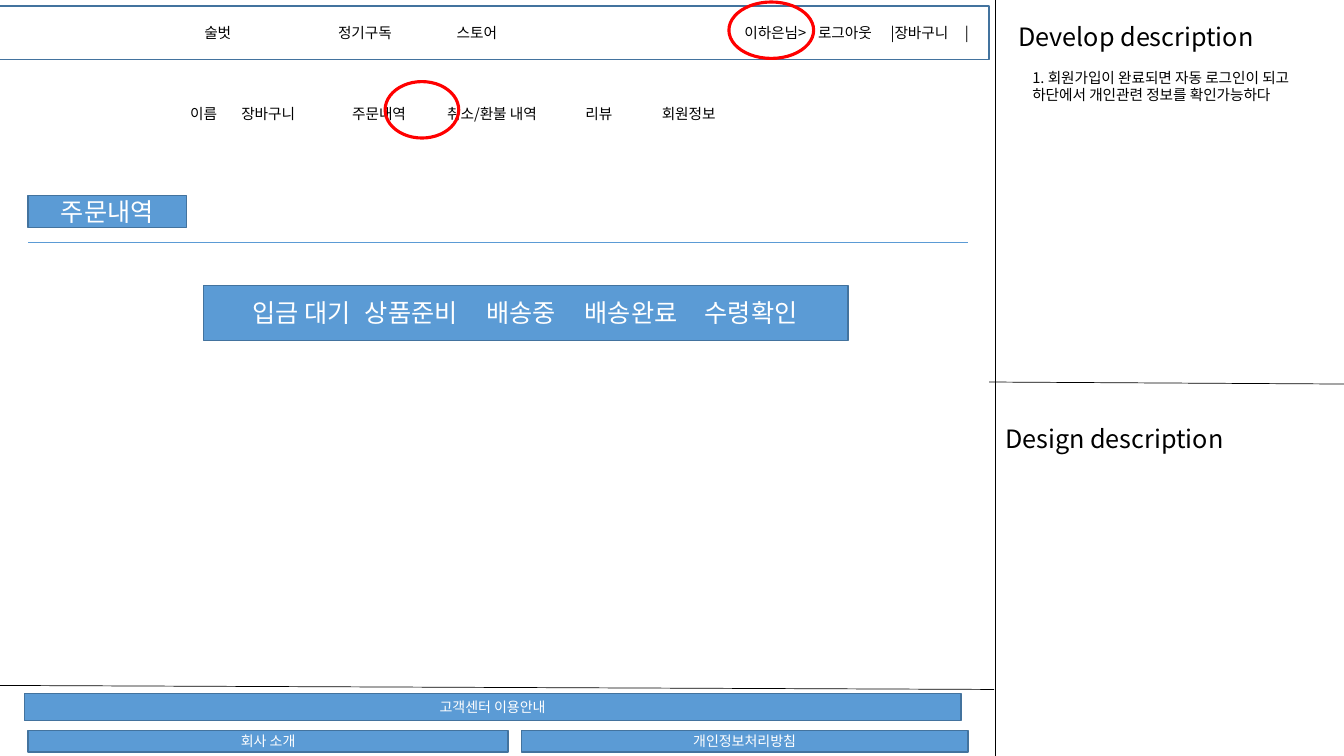
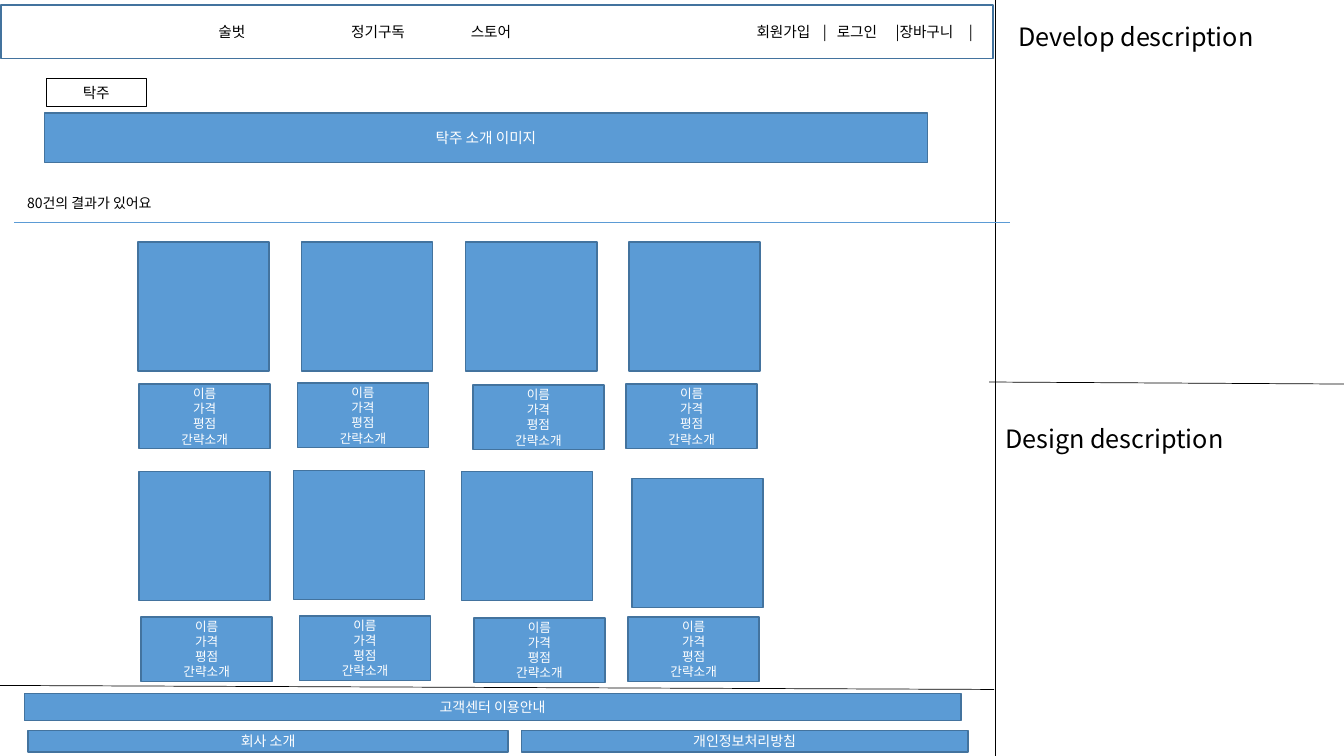
"""Builds two wireframe slides of a drinks shop with description panels."""
from dataclasses import dataclass

from lxml import etree
from pptx import Presentation
from pptx import util as u
from pptx.dml import color
from pptx.enum import shapes, text
from pptx.oxml import ns


@dataclass(frozen=True)
class Theme:
    """Colours, font, type sizes and line widths."""
    black: str = "000000"
    white: str = "FFFFFF"
    blue: str = "5B9BD5"
    border: str = "43739E"
    red: str = "FF0000"
    font: str = "Noto Sans CJK KR"
    heading: float = 18
    body: float = 10.5
    small: float = 10
    card: float = 9
    hairline: float = 0.5
    thin: float = 0.75
    outline: float = 1
    marker: float = 2.25


THEME = Theme()
LEFT, CENTER = text.PP_ALIGN.LEFT, text.PP_ALIGN.CENTER
TOP, MIDDLE = text.MSO_ANCHOR.TOP, text.MSO_ANCHOR.MIDDLE
RECTANGLE, OVAL = shapes.MSO_SHAPE.RECTANGLE, shapes.MSO_SHAPE.OVAL

CARD_LINES = "이름\n가격\n평점\n간략소개"
PICTURE_SIZE = (1.3, 1.28)
CARD_SIZE = (1.3, 0.64)
PICTURES = [(1.37, 2.4), (2.99, 2.4), (4.62, 2.4), (6.24, 2.4),
            (1.38, 4.68), (2.91, 4.67), (4.58, 4.68), (6.27, 4.75)]
CARDS = [(1.38, 3.81), (2.95, 3.8), (4.69, 3.82), (6.21, 3.81),
         (1.4, 6.12), (2.97, 6.11), (4.7, 6.13), (6.23, 6.12)]


def rgb(value):
    """Return the colour for a hex value."""
    return color.RGBColor.from_string(value)


def inches(*values):
    """Convert numbers to lengths."""
    return [u.Inches(value) for value in values]


def write(shape, words, size=THEME.body, ink=THEME.black, align=LEFT, anchor=TOP, inset=None):
    """Put formatted text into a shape, one paragraph a line."""
    frame = shape.text_frame
    frame.word_wrap = True
    frame.auto_size = text.MSO_AUTO_SIZE.NONE
    frame.vertical_anchor = anchor
    if inset is not None:
        frame.margin_left = frame.margin_right = u.Inches(inset)
        frame.margin_top = frame.margin_bottom = u.Inches(inset)
    frame.text = words
    for paragraph in frame.paragraphs:
        paragraph.alignment = align
        for run in paragraph.runs:
            run.font.size = u.Pt(size)
            run.font.name = THEME.font
            run.font.color.rgb = rgb(ink)
            east_asian = etree.SubElement(run.font._element, ns.qn("a:ea"))
            east_asian.set("typeface", THEME.font)


def add_text(slide, box, words, **style):
    """Add a text box."""
    write(slide.shapes.add_textbox(*inches(*box)), words, **style)


def add_labels(slide, middle, labels, size=THEME.body, ink=THEME.black):
    """Add a row of one-line labels, each centred on its own x."""
    height = size / 36
    for words, x in labels:
        width = len(words) * size / 65
        add_text(slide, (x - width / 2, middle - height / 2, width, height), words,
                 size=size, ink=ink, align=CENTER, anchor=MIDDLE, inset=0)


def add_box(slide, box, words="", kind=RECTANGLE, fill=THEME.blue, line=THEME.border,
            weight=THEME.outline, size=THEME.body, ink=THEME.white):
    """Add an outlined shape with optional fill and centred text."""
    shape = slide.shapes.add_shape(kind, *inches(*box))
    shape.shadow.inherit = False
    if fill:
        shape.fill.solid()
        shape.fill.fore_color.rgb = rgb(fill)
    else:
        shape.fill.background()
    shape.line.color.rgb = rgb(line)
    shape.line.width = u.Pt(weight)
    if words:
        write(shape, words, size=size, ink=ink, align=CENTER, anchor=MIDDLE)


def add_line(slide, start, end, ink=THEME.black):
    """Add a hairline without a shadow."""
    line = slide.shapes.add_connector(shapes.MSO_CONNECTOR.STRAIGHT, *inches(*start, *end))
    line.line.color.rgb = rgb(ink)
    line.line.width = u.Pt(THEME.hairline)
    etree.SubElement(line._element.spPr, ns.qn("a:effectLst"))


def add_marker(slide, box):
    """Add a red ring."""
    add_box(slide, box, kind=OVAL, fill=None, line=THEME.red, weight=THEME.marker)


def add_menu(slide, left, top, labels):
    """Add the white menu bar and its labels."""
    add_box(slide, (left, top, 9.84, 0.53), fill=THEME.white)
    add_labels(slide, top + 0.26, labels)


def add_page(presentation):
    """Add a slide with the description panels and the site footer."""
    slide = presentation.slides.add_slide(presentation.slide_layouts[5])
    title = slide.shapes.title
    title.left, title.top, title.width, title.height = inches(10, 0.16, 2.89, 0.4)
    write(title, "Develop description", size=THEME.heading)
    add_text(slide, (9.87, 4.15, 2.89, 0.4), "Design description", size=THEME.heading)
    add_line(slide, (9.87, 0), (9.87, 7.5))
    add_line(slide, (9.81, 3.79), (13.33, 3.81))
    add_line(slide, (-0.01, 6.8), (9.86, 6.84))
    for words, box in [("고객센터 이용안내", (0.24, 6.88, 9.29, 0.27)),
                       ("회사 소개", (0.28, 7.25, 4.76, 0.21)),
                       ("개인정보처리방침", (5.17, 7.25, 4.43, 0.21))]:
        add_box(slide, box, words, size=THEME.small)
    return slide


def build_orders(presentation):
    """Build the order history page."""
    slide = add_page(presentation)
    add_labels(slide, 1.13, [("이름", 2.02), ("장바구니", 2.66), ("주문내역", 3.76),
                             ("취소/환불 내역", 4.88), ("리뷰", 5.94), ("회원정보", 6.83)])
    add_menu(slide, -0.03, 0.06, [("술벗", 2.16), ("정기구독", 3.62), ("스토어", 4.73),
                                  ("이하은님>", 7.69), ("로그아웃", 8.38),
                                  ("|장바구니", 9.12), ("|", 9.59)])
    add_marker(slide, (7.23, 0.02, 0.84, 0.56))
    add_marker(slide, (3.82, 0.81, 0.73, 0.56))
    add_text(slide, (10.14, 0.63, 3.11, 0.45),
             "1. 회원가입이 완료되면 자동 로그인이 되고 하단에서 개인관련 정보를 확인가능하다")
    add_box(slide, (0.28, 1.94, 1.57, 0.32), "주문내역", size=THEME.heading)
    add_line(slide, (0.28, 2.4), (9.6, 2.4), ink=THEME.blue)
    add_box(slide, (2.02, 2.83, 6.39, 0.55))
    add_labels(slide, 3.1, [("입금 대기", 2.99), ("상품준비", 4.08), ("배송중", 5.17),
                            ("배송완료", 6.26), ("수령확인", 7.45)],
               size=THEME.heading, ink=THEME.white)


def build_products(presentation):
    """Build the product list page."""
    slide = add_page(presentation)
    add_menu(slide, 0.01, 0.05, [("술벗", 2.3), ("정기구독", 3.75), ("스토어", 4.87),
                                 ("회원가입", 7.77), ("|", 8.18), ("로그인", 8.5),
                                 ("|장바구니", 9.17), ("|", 9.63)])
    add_box(slide, (0.46, 0.78, 0.99, 0.28), "탁주", fill=None, line=THEME.black,
            weight=THEME.thin, ink=THEME.black)
    add_box(slide, (0.44, 1.12, 8.76, 0.49), "탁주 소개 이미지")
    add_text(slide, (0.17, 1.88, 2.72, 0.27), "80건의 결과가 있어요", size=THEME.small)
    add_line(slide, (0.14, 2.21), (10.02, 2.21), ink=THEME.blue)
    for picture, card in zip(PICTURES, CARDS):
        add_box(slide, picture + PICTURE_SIZE)
        add_box(slide, card + CARD_SIZE, CARD_LINES, size=THEME.card)


def main():
    """Build and save the presentation."""
    presentation = Presentation()
    presentation.slide_width, presentation.slide_height = inches(13.33, 7.5)
    build_orders(presentation)
    build_products(presentation)
    presentation.save("out.pptx")


if __name__ == "__main__":
    main()
